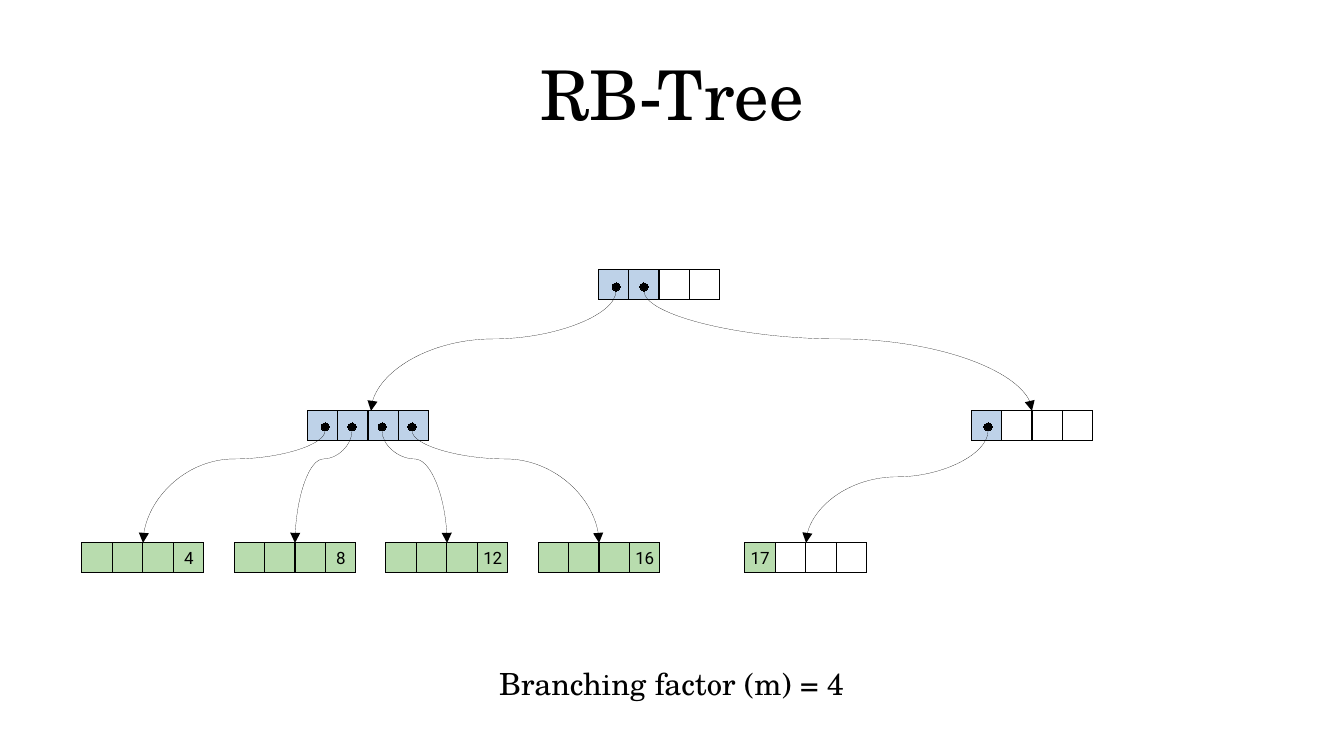
from lxml.etree import SubElement
from pptx import Presentation
from pptx.dml.color import RGBColor
from pptx.enum.shapes import MSO_CONNECTOR, MSO_SHAPE
from pptx.enum.text import MSO_ANCHOR, PP_ALIGN
from pptx.oxml.ns import qn
from pptx.util import Emu, Pt

PX = 914400 // 122
THEME = {
    "ink": RGBColor.from_string("000000"),
    "inner": RGBColor.from_string("729FCF"),
    "leaf": RGBColor.from_string("77BC65"),
    "inner_alpha": 46,
    "leaf_alpha": 52,
    "serif": "TeX Gyre Schola",
    "sans": "Roboto",
    "title": 40.5,
    "caption": 18,
    "key": 10,
}
NODE_W, CELL_H, DOT = 122, 30, 8
SLOTS = 4


def add_text(sp, text, size, font=THEME["serif"], align=PP_ALIGN.CENTER,
             anchor=MSO_ANCHOR.MIDDLE, wrap=True):
    tf = sp.text_frame
    tf.word_wrap = wrap
    tf.vertical_anchor = anchor
    p = tf.paragraphs[0]
    p.alignment = align
    r = p.add_run()
    r.text = text
    r.font.size = Pt(size)
    r.font.name = font
    r.font.color.rgb = THEME["ink"]


def set_hairline(sp):
    """Give a shape or connector a thinnest black line and no shadow."""
    sp.line.color.rgb = THEME["ink"]
    spPr = sp._element.spPr
    ln = spPr.find(qn("a:ln"))
    ln.set("w", "0")
    SubElement(spPr, qn("a:effectLst"))
    return ln


prs = Presentation()
prs.slide_width, prs.slide_height = Emu(1344 * PX), Emu(756 * PX)
slide = prs.slides.add_slide(prs.slide_layouts[6])
shapes = slide.shapes

# Title and caption
title = shapes.add_textbox(67 * PX, 30 * PX, 1210 * PX, 127 * PX)
add_text(title, "RB-Tree", THEME["title"])
caption = shapes.add_textbox(487 * PX, 659 * PX, 372 * PX, 95 * PX)
add_text(caption, "Branching factor (m) = 4", THEME["caption"],
         align=PP_ALIGN.LEFT, anchor=MSO_ANCHOR.TOP)

# Nodes: left, top, kind, filled slots, key in the last filled slot
nodes = [
    (598, 270, "inner", 2, None),
    (307, 411, "inner", 4, None),
    (971, 411, "inner", 1, None),
    (745, 543, "leaf", 1, "17"),
]
nodes += [(82 + 152 * i, 543, "leaf", SLOTS, str(4 * (i + 1))) for i in range(4)]

for left, top, kind, filled, key in nodes:
    for slot in range(SLOTS):
        x = left + slot * NODE_W / SLOTS
        sp = shapes.add_shape(MSO_SHAPE.RECTANGLE, round(x * PX), top * PX,
                              NODE_W * PX // SLOTS, CELL_H * PX)
        if slot < filled:
            sp.fill.solid()
            sp.fill.fore_color.rgb = THEME[kind]
            color = sp._element.spPr.find(qn("a:solidFill"))[0]
            alpha = THEME[kind + "_alpha"] * 1000
            SubElement(color, qn("a:alpha"), val=str(alpha))
        else:
            sp.fill.background()
        set_hairline(sp)
        if key and slot == filled - 1:
            add_text(sp, key, THEME["key"], font=THEME["sans"], wrap=False)

# Pointers: dot centre, arrow tip, share of the drop where the curve bends
pointers = [
    (616, 287, 371, 411, 0.4),
    (644, 287, 1032, 411, 0.4),
    (325, 427, 143, 543, 0.25),
    (352, 427, 295, 543, 0.25),
    (382, 427, 447, 543, 0.25),
    (412, 427, 599, 543, 0.25),
    (988, 427, 806, 543, 0.41),
]
for dot_x, dot_y, tip_x, tip_y, bend in pointers:
    # Dot
    sp = shapes.add_shape(MSO_SHAPE.OVAL, (dot_x - DOT // 2) * PX,
                          (dot_y - DOT // 2) * PX, DOT * PX, DOT * PX)
    sp.fill.solid()
    sp.fill.fore_color.rgb = THEME["ink"]
    set_hairline(sp)

    # Curve, laid out sideways around its middle and then turned upright
    start_y = dot_y + DOT // 2
    mid_x, mid_y = (dot_x + tip_x) / 2, (start_y + tip_y) / 2
    half_drop, half_run = (tip_y - start_y) / 2, abs(tip_x - dot_x) / 2
    goes_right = tip_x > dot_x
    side = -1 if goes_right else 1
    cn = shapes.add_connector(
        MSO_CONNECTOR.CURVE,
        round((mid_x - side * half_drop) * PX), round((mid_y - half_run) * PX),
        round((mid_x + side * half_drop) * PX), round((mid_y + half_run) * PX))
    spPr = cn._element.spPr
    angle = 270 if goes_right else 90
    spPr.find(qn("a:xfrm")).set("rot", str(angle * 60000))
    adjust = spPr.find(qn("a:prstGeom")).find(qn("a:avLst"))
    SubElement(adjust, qn("a:gd"), name="adj1", fmla=f"val {round(bend * 100000)}")
    ln = set_hairline(cn)
    SubElement(ln, qn("a:tailEnd"), type="triangle")

prs.save("out.pptx")
